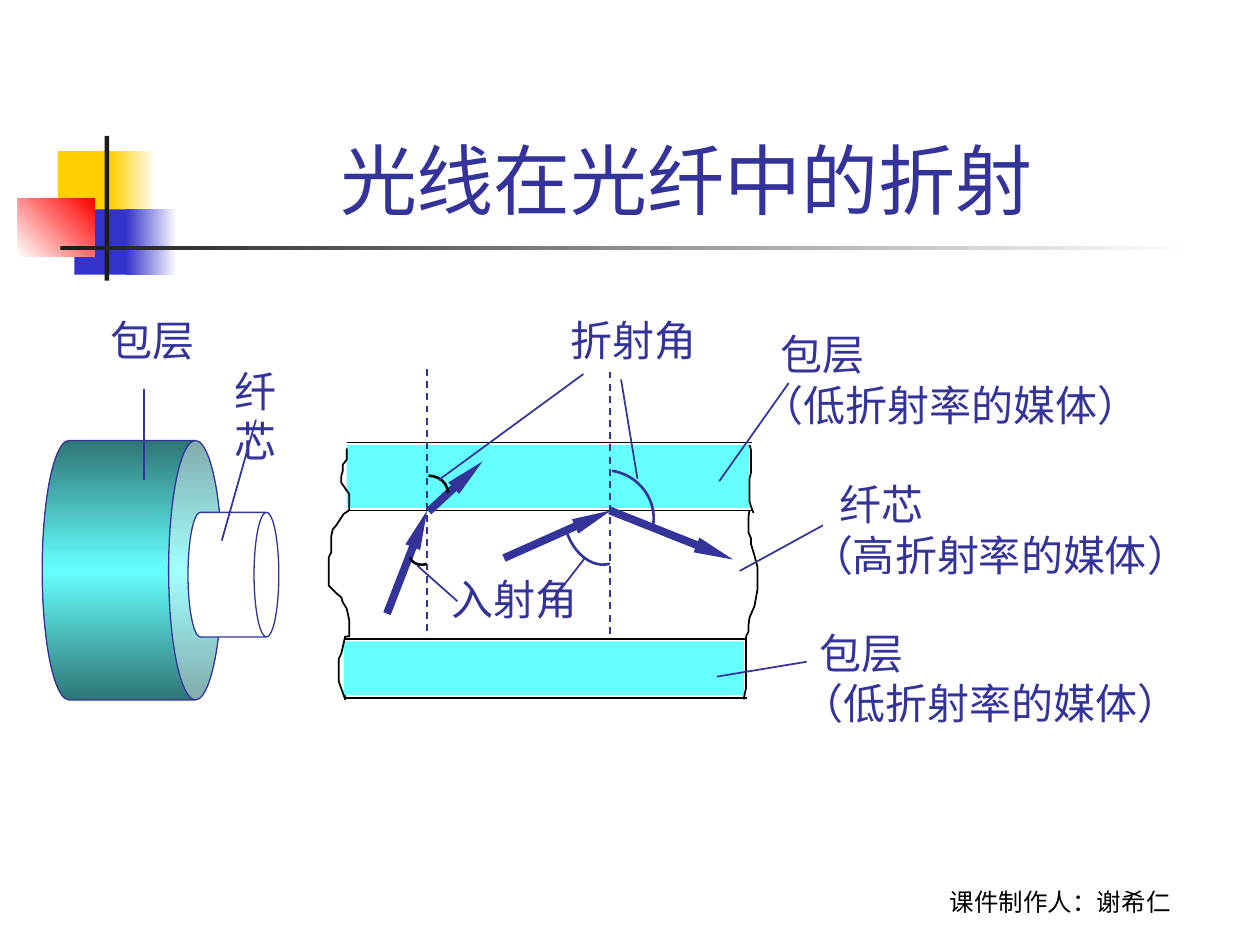
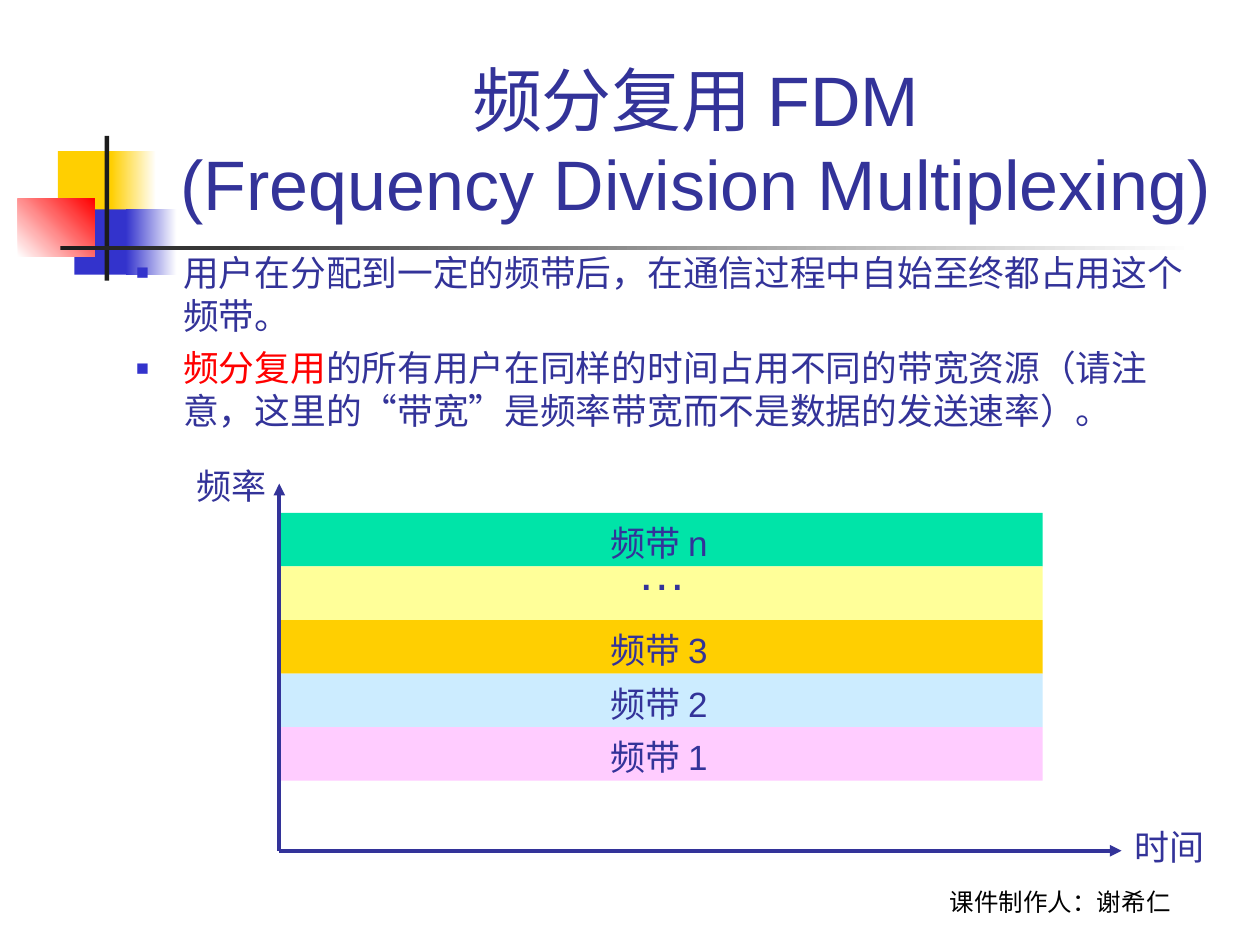
from lxml import etree
from pptx import Presentation
from pptx.dml.color import RGBColor
from pptx.enum.dml import MSO_LINE
from pptx.enum.shapes import MSO_CONNECTOR, MSO_SHAPE
from pptx.enum.text import MSO_ANCHOR, MSO_AUTO_SIZE, PP_ALIGN
from pptx.oxml.ns import qn
from pptx.util import Cm, Pt

RECTANGLE, CAN, ARC = MSO_SHAPE.RECTANGLE, MSO_SHAPE.CAN, MSO_SHAPE.ARC
STRAIGHT, DASH = MSO_CONNECTOR.STRAIGHT, MSO_LINE.DASH
LEFT, CENTER = PP_ALIGN.LEFT, PP_ALIGN.CENTER
TOP, BOTTOM = MSO_ANCHOR.TOP, MSO_ANCHOR.BOTTOM
FIT_SHAPE, NO_FIT = MSO_AUTO_SIZE.SHAPE_TO_FIT_TEXT, MSO_AUTO_SIZE.NONE

COLORS = {
    "ink": "333399", "black": "000000", "white": "FFFFFF", "red": "FF0000",
    "bullet": "3333CC", "gold": "FFCF01", "bar": "1C1C1C",
    "cladding": "66FFFF", "cladding_dark": "2F7676",
    "green": "00E4A8", "yellow": "FFFF99", "sky": "CCECFF", "pink": "FFCCFF",
}

LEFT_EDGE = [
    (6.99, 9.04), (6.99, 9.27), (6.91, 9.37), (6.91, 9.5), (6.88, 9.6), (6.88, 9.73),
    (7.04, 9.96), (7.04, 10.29), (6.93, 10.36), (6.78, 10.59), (6.71, 10.67),
    (6.68, 10.8), (6.68, 11.13), (6.63, 11.23), (6.63, 11.81), (6.78, 11.96),
    (6.88, 12.04), (6.91, 12.14), (6.99, 12.27), (7.04, 12.5), (7.04, 12.83),
    (6.96, 12.83), (6.88, 13.18), (6.83, 13.28), (6.83, 13.74), (6.96, 14.1), (6.96, 14.02),
]
RIGHT_EDGES = [
    [(15.11, 8.97), (15.14, 9.07), (15.14, 9.53), (15.11, 9.65), (15.11, 10.11),
     (15.14, 10.21), (15.19, 10.34)],
    [(15.11, 10.29), (15.09, 10.41), (15.09, 10.74), (15.14, 10.85), (15.14, 10.97),
     (15.21, 11.2), (15.27, 11.43), (15.27, 11.89), (15.21, 12.22), (15.11, 12.45),
     (15.09, 12.6), (15.09, 12.73), (15.04, 12.83)],
    [(15.04, 12.83), (15.04, 13.87), (14.99, 14.1)],
]
RAYS = [
    ((8.64, 10.31), (9.73, 9.3)), ((7.8, 12.37), (8.61, 10.29)),
    ((10.16, 11.25), (12.32, 10.29)), ((12.29, 10.29), (14.78, 11.28)),
]
LEADERS = [
    ((12.52, 7.65), (12.85, 9.65)), ((8.84, 9.68), (11.76, 7.54)),
    ((8.41, 11.4), (9.22, 12.12)), ((11.1, 12.14), (11.79, 11.25)),
    ((14.91, 11.51), (16.59, 10.59)), ((15.9, 7.72), (14.5, 9.7)),
    ((16.26, 13.34), (14.45, 13.64)), ((2.9, 7.85), (2.9, 9.68)),
    ((5.16, 8.46), (4.47, 10.9)),
]


def rgb(name):
    return RGBColor.from_string(COLORS[name])


def place(shape, left, top, width, height):
    shape.left, shape.top, shape.width, shape.height = map(Cm, (left, top, width, height))


def format_spans(para, size, font, color):
    for span in para.runs:
        span.font.size = Pt(size)
        span.font.name = font
        span.font.color.rgb = rgb(color)


def add_text(slide, text, left, top, width, height, *, size=24, font="Arial", color="ink",
             align=LEFT, anchor=TOP, wrap=False, spacing=None, first_indent=0):
    """Add a text box, one paragraph per line; first_indent moves its first line right."""
    box = slide.shapes.add_textbox(Cm(left), Cm(top), Cm(width), Cm(height))
    frame = box.text_frame
    frame.text = text
    frame.word_wrap = wrap
    frame.auto_size = NO_FIT if wrap else FIT_SHAPE
    frame.vertical_anchor = anchor
    for para in frame.paragraphs:
        para.alignment = align
        para.line_spacing = spacing
        format_spans(para, size, font, color)
    if first_indent:
        properties = frame.paragraphs[0]._p.get_or_add_pPr()
        properties.set("marL", str(Cm(first_indent)))
    return box


def add_shape(slide, kind, left, top, width, height, fill=None, line=None, line_width=0.75):
    shape = slide.shapes.add_shape(kind, Cm(left), Cm(top), Cm(width), Cm(height))
    shape.shadow.inherit = False
    if fill:
        shape.fill.solid()
        shape.fill.fore_color.rgb = rgb(fill)
    else:
        shape.fill.background()
    if line:
        shape.line.color.rgb = rgb(line)
        shape.line.width = Pt(line_width)
    else:
        shape.line.fill.background()
    return shape


def fill_gradient(shape, colors, angle=0):
    """Blend evenly spaced colours; the angle runs counter-clockwise."""
    shape.fill.gradient()
    shape.fill.gradient_angle = angle
    stops = shape.element.find(".//" + qn("a:gsLst"))
    for stop in list(stops):
        stops.remove(stop)
    for index, name in enumerate(colors):
        position = 100000 * index // (len(colors) - 1)
        stop = etree.SubElement(stops, qn("a:gs"), pos=str(position))
        etree.SubElement(stop, qn("a:srgbClr"), val=COLORS[name])


def add_line(slide, start, end, color="ink", width=1, dash=None, arrow=None):
    """Draw a line; arrow gives the (width, length) of a head at its end."""
    line = slide.shapes.add_connector(STRAIGHT, *map(Cm, start + end))
    line.line.color.rgb = rgb(color)
    line.line.width = Pt(width)
    if dash:
        line.line.dash_style = dash
    if arrow:
        etree.SubElement(line.line._get_or_add_ln(), qn("a:tailEnd"), type="triangle",
                         w=arrow[0], len=arrow[1])
    etree.SubElement(line.element.spPr, qn("a:effectLst"))


def add_edge(slide, points):
    """Draw the ragged cut through the fibre."""
    points = [(Cm(x), Cm(y)) for x, y in points]
    builder = slide.shapes.build_freeform(*points[0])
    builder.add_line_segments(points[1:], close=False)
    edge = builder.convert_to_shape()
    edge.shadow.inherit = False
    edge.fill.background()
    edge.line.color.rgb = rgb("black")
    edge.line.width = Pt(1)


def add_angle_arc(slide, center, radius_x, radius_y, rotation, color):
    """Draw a quarter ellipse that starts above its centre before it is rotated."""
    x, y = center
    arc = add_shape(slide, ARC, x - radius_x, y - radius_y, 2 * radius_x, 2 * radius_y,
                    line=color, line_width=1.5)
    arc.rotation = rotation


def add_cladding(slide, left, right, top, bottom):
    for y in (top, bottom):
        add_line(slide, (left, y), (right, y), "black")
    add_shape(slide, RECTANGLE, left, top + 0.05, right - left - 0.06, bottom - top - 0.1,
              "cladding")


def add_can(slide, left, top, width, height, adjustment, fill):
    can = add_shape(slide, CAN, left, top, width, height, fill, "ink")
    can.adjustments[0] = adjustment
    can.rotation = 90
    return can


def set_title(slide, text, size):
    title = slide.shapes.title
    place(title, 3.2, 0.6, 21.64, 4.06)
    frame = title.text_frame
    frame.auto_size = NO_FIT
    frame.vertical_anchor = BOTTOM
    para = frame.paragraphs[0]
    para.text = text
    para.alignment = CENTER
    format_spans(para, size, "Arial", "ink")
    for line_break in title.element.iter(qn("a:br")):
        etree.SubElement(line_break, qn("a:rPr"), sz=str(size * 100))


def set_bullet(para):
    properties = para._p.get_or_add_pPr()
    properties.set("marL", str(Cm(0.95)))
    properties.set("indent", str(-Cm(0.95)))
    properties.set("hangingPunct", "0")
    color = etree.SubElement(properties, qn("a:buClr"))
    etree.SubElement(color, qn("a:srgbClr"), val=COLORS["bullet"])
    etree.SubElement(properties, qn("a:buSzPct"), val="60000")
    etree.SubElement(properties, qn("a:buFont"), typeface="Arial")
    etree.SubElement(properties, qn("a:buChar"), char="■")


def set_list(body, items):
    """Fill the body with items, each a list of (text, colour) spans."""
    frame = body.text_frame
    frame.auto_size = NO_FIT
    for index, item in enumerate(items):
        para = frame.add_paragraph() if index else frame.paragraphs[0]
        set_bullet(para)
        para.space_before = Pt(5.5 if index else 0)
        for text, color in item:
            span = para.add_run()
            span.text = text
            span.font.size = Pt(20.4)
            span.font.name = "Arial"
            span.font.color.rgb = rgb(color)


def move_to_master(deck, shapes):
    for number, shape in enumerate(shapes, start=100):
        shape.element.find(".//" + qn("p:cNvPr")).set("id", str(number))
        deck.slide_master.shapes.element.append(shape.element)


def decorate_master(deck, slide):
    """Build the shared ornament and footer on a slide, then hand them to the master."""
    shapes = []
    for color, left, top, fade_left, fade_width, width in (
            ("gold", 1.17, 3.05, 2.24, 0.91, 1.22),
            ("bullet", 1.5, 4.22, 2.54, 1.02, 1.17)):
        shapes.append(add_shape(slide, RECTANGLE, left, top, width, 1.32, color))
        fade = add_shape(slide, RECTANGLE, fade_left, top, fade_width, 1.32)
        fill_gradient(fade, [color, "white"])
        shapes.append(fade)
    red_square = add_shape(slide, RECTANGLE, 0.36, 4.01, 1.55, 1.17)
    fill_gradient(red_square, ["white", "red"], 45)
    upright = add_shape(slide, RECTANGLE, 2.11, 2.74, 0.09, 2.92, "bar")
    rule = add_shape(slide, RECTANGLE, 1.22, 4.95, 22.86, 0.09)
    fill_gradient(rule, ["bar", "white"])
    footer = add_text(slide, "课件制作人：谢希仁", 17.35, 17.32, 8.05, 1.27, size=14,
                      font="Karla", color="black", align=CENTER, anchor=BOTTOM, wrap=True)
    move_to_master(deck, shapes + [red_square, upright, rule, footer])


def build_refraction_slide(slide):
    set_title(slide, "光线在光纤中的折射 ", 44)
    add_cladding(slide, 6.99, 15.16, 8.92, 10.29)
    add_cladding(slide, 6.93, 15.06, 12.88, 14.07)
    for x, top in ((8.61, 7.44), (12.29, 7.49)):
        add_line(slide, (x, top), (x, top + 5.39), dash=DASH)
    for start, end in RAYS:
        add_line(slide, start, end, width=4.5, arrow=("sm", "lg"))
    add_angle_arc(slide, (8.53, 11.15), 0.28, 0.23, 162, "black")
    add_angle_arc(slide, (8.64, 9.93), 0.39, 0.34, 0, "black")
    add_angle_arc(slide, (12.04, 10.49), 0.66, 0.91, 164, "ink")
    add_angle_arc(slide, (12.19, 10.44), 0.99, 0.96, 9, "ink")
    for edge in [LEFT_EDGE] + RIGHT_EDGES:
        add_edge(slide, edge)

    cladding_can = add_can(slide, 0.05, 9.68, 5.23, 3.63, 0.298, "cladding")
    fill_gradient(cladding_can, ["cladding_dark", "cladding", "cladding_dark"])
    add_can(slide, 3.45, 10.67, 2.51, 1.83, 0.273, "white")

    add_text(slide, "折射角", 11.25, 6.22, 3.2, 1.27)
    add_text(slide, "入射角", 8.86, 11.43, 3.2, 1.27)
    add_text(slide, "包层", 1.98, 6.22, 2.5, 1.27)
    add_text(slide, "纤芯", 4.47, 7.24, 1.93, 2.29, wrap=True)
    low_index = "包层\n（低折射率的媒体）"
    add_text(slide, low_index, 15.11, 6.5, 8.3, 2.29, first_indent=0.38)
    add_text(slide, low_index, 15.9, 12.52, 8.3, 2.29, first_indent=0.38)
    add_text(slide, "纤芯\n（高折射率的媒体）", 16.1, 9.53, 8.84, 3.3, wrap=True,
             first_indent=0.58)
    for start, end in LEADERS:
        add_line(slide, start, end)


def build_multiplexing_slide(slide):
    set_title(slide, "频分复用 FDM\n(Frequency Division Multiplexing) ", 40)
    body = slide.placeholders[1]
    place(body, 2.49, 4.93, 22, 5)
    set_list(body, [
        [("用户在分配到一定的频带后，在通信过程中自始至终都占用这个频带。", "ink")],
        [("频分复用", "red"),
         ("的所有用户在同样的时间占用不同的带宽资源（请注意，这里的“带宽”是频率带宽而不是数据的发送速率）。",
          "ink")],
    ])
    bands = [("频带 n", "green"), ("…", "yellow"), ("频带 3", "gold"),
             ("频带 2", "sky"), ("频带 1", "pink")]
    for index, (label, color) in enumerate(bands):
        top = 10.34 + 1.08 * index
        add_shape(slide, RECTANGLE, 5.63, top, 15.39, 1.08, color)
        if label == "…":
            add_text(slide, label, 12.6, top - 0.5, 1.5, 1.32, size=28, spacing=0.9)
        else:
            add_text(slide, label, 12.05, top + 0.14, 2.82, 1.02, size=20, spacing=0.9)
    for label, left, top in (("频率", 3.71, 9.34), ("时间", 22.63, 16.61)):
        add_text(slide, label, left, top, 2.2, 1.02, size=20, font="Times New Roman",
                 spacing=0.9)
    origin = (5.63, 17.15)
    for axis_end in ((22.61, 17.15), (5.63, 9.75)):
        add_line(slide, origin, axis_end, width=2.25, arrow=("med", "med"))


def main():
    deck = Presentation()
    deck.slide_width, deck.slide_height = Cm(25.4), Cm(19.05)
    refraction = deck.slides.add_slide(deck.slide_layouts[5])
    decorate_master(deck, refraction)
    build_refraction_slide(refraction)
    build_multiplexing_slide(deck.slides.add_slide(deck.slide_layouts[1]))
    deck.save("out.pptx")


if __name__ == "__main__":
    main()
